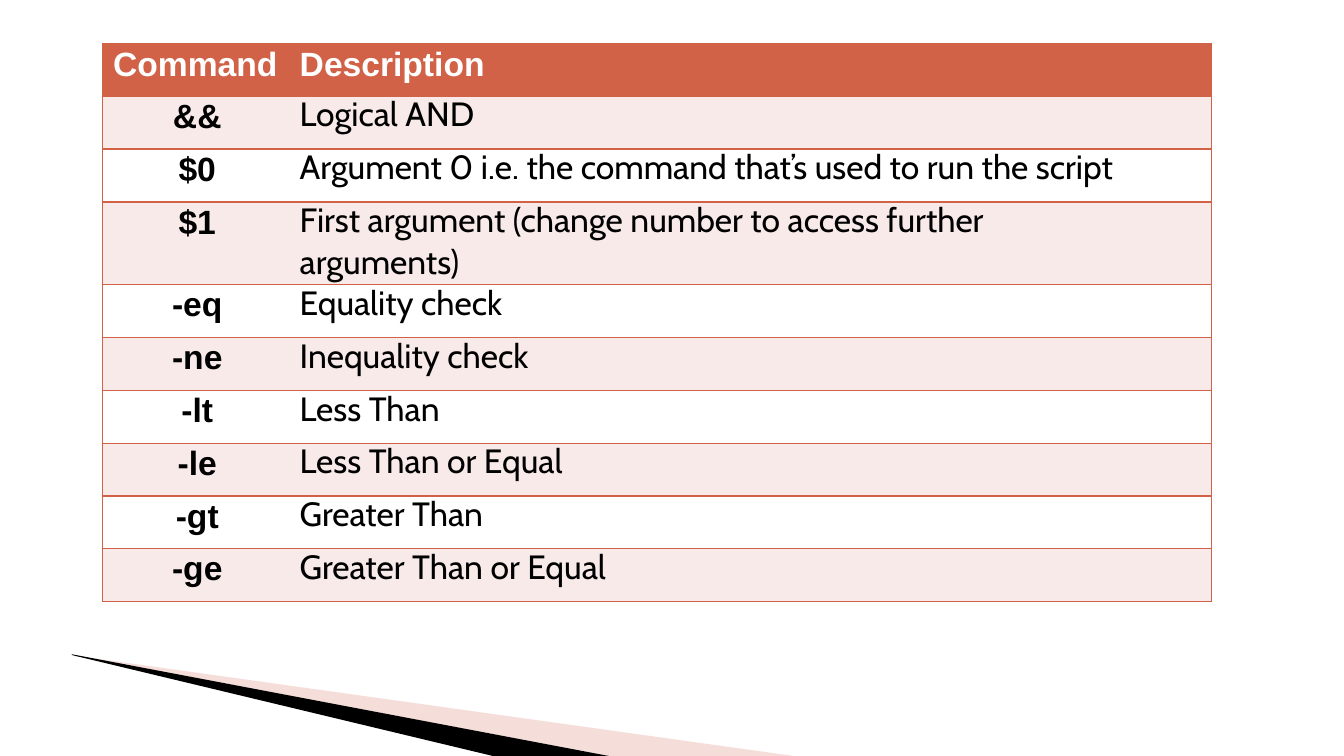
from lxml import etree
from pptx import Presentation
from pptx.dml.color import RGBColor
from pptx.enum.text import PP_ALIGN
from pptx.oxml.ns import qn
from pptx.util import Inches, Pt

CENTER, LEFT = PP_ALIGN.CENTER, PP_ALIGN.LEFT
RUST = RGBColor(0xD1, 0x62, 0x48)
BLUSH = RGBColor(0xF7, 0xEA, 0xE9)
SALMON = RGBColor(0xE7, 0xAC, 0xA3)
BLACK = RGBColor(0, 0, 0)
WHITE = RGBColor(0xFF, 0xFF, 0xFF)

SLIDE_WIDTH, SLIDE_HEIGHT = 13.33, 7.5
TABLE_BOX = (1.02, 0.43, 11, 5.54)
COMMAND_SHARE = 1 / 6
TALL_ROW = 0.82
COMMANDS = [
    ("Command", "Description"),
    ("&&", "Logical AND"),
    ("$0", "Argument 0 i.e. the command that’s used to run the script"),
    ("$1", "First argument (change number to access further\narguments)"),
    ("-eq", "Equality check"),
    ("-ne", "Inequality check"),
    ("-lt", "Less Than"),
    ("-le", "Less Than or Equal"),
    ("-gt", "Greater Than"),
    ("-ge", "Greater Than or Equal"),
]
SWOOSH_BOX = (0.71, 6.49, 7.16, 1.01)
PALE_WEDGE = [(0.02, 0.01), (0.02, 0.02), (0.14, 0.03), (5.32, 1.01), (7.16, 1.01), (0.14, 0.03)]
DARK_WEDGE = [(0, 0), (0.01, 0.01), (4.18, 1.01), (5.33, 1.01)]


def add_wedge(slide, box, points, color, opacity=100):
    """Draw a filled polygon whose points are offsets from the box corner."""
    left, top = box[:2]
    corners = [(Inches(left + x), Inches(top + y)) for x, y in points]
    builder = slide.shapes.build_freeform(*corners[0], scale=1.0)
    builder.add_line_segments(corners[1:], close=True)
    wedge = builder.convert_to_shape()
    wedge.shadow.inherit = False
    wedge.line.fill.background()
    wedge.fill.solid()
    wedge.fill.fore_color.rgb = color
    if opacity < 100:
        color_element = wedge.fill._xPr.find(qn("a:solidFill"))[0]
        etree.SubElement(color_element, qn("a:alpha"), val=str(opacity * 1000))


def add_swoosh(slide, box):
    """Place the two wedges of the corner decoration."""
    add_wedge(slide, box, PALE_WEDGE, SALMON, 40)
    add_wedge(slide, box, DARK_WEDGE, BLACK)


def set_borders(cell, visible_sides):
    """Draw rust borders on the given sides and hide the others."""
    properties = cell._tc.get_or_add_tcPr()
    for index, side in enumerate("LRTB"):
        line = etree.Element(qn(f"a:ln{side}"), w=str(Pt(1)))
        if side in visible_sides:
            fill = etree.SubElement(line, qn("a:solidFill"))
            etree.SubElement(fill, qn("a:srgbClr"), val=str(RUST))
        else:
            etree.SubElement(line, qn("a:noFill"))
        properties.insert(index, line)


def fill_cell(cell, text, row, column):
    """Write and style one cell according to its row and column."""
    is_header, is_command = row == 0, column == 0
    cell.margin_right = cell.margin_top = cell.margin_bottom = 0
    cell.margin_left = Inches(0.04 if is_command and not is_header else 0 if is_header and is_command else 0.12)
    if is_header or row % 2:
        cell.fill.solid()
        cell.fill.fore_color.rgb = RUST if is_header else BLUSH
    else:
        cell.fill.background()
    set_borders(cell, "LTB" if is_command else "RTB")
    cell.text_frame.text = text
    for index, paragraph in enumerate(cell.text_frame.paragraphs):
        paragraph.alignment = CENTER if is_command else LEFT
        paragraph.line_spacing = Pt(28.5 if is_header else 28)
        paragraph.space_before = Pt(1.9 if index else 0)
        font = paragraph.runs[0].font
        font.size = Pt(24)
        font.bold = is_header or is_command
        font.name = "Arial" if font.bold else "Cabin"
        font.color.rgb = WHITE if is_header else BLACK


def add_command_table(slide, box):
    """Place the table of commands and their descriptions."""
    width, height = box[2:]
    frame = slide.shapes.add_table(len(COMMANDS), 2, *map(Inches, box))
    table = frame.table
    table.first_row = table.horz_banding = False
    table.columns[0].width = Inches(width * COMMAND_SHARE)
    table.columns[1].width = Inches(width * (1 - COMMAND_SHARE))
    row_height = (height - TALL_ROW) / (len(COMMANDS) - 1)
    for row, texts in enumerate(COMMANDS):
        table.rows[row].height = Inches(TALL_ROW if "\n" in texts[1] else row_height)
        for column, text in enumerate(texts):
            fill_cell(table.cell(row, column), text, row, column)


def main():
    """Build and save the slide."""
    presentation = Presentation()
    presentation.slide_width = Inches(SLIDE_WIDTH)
    presentation.slide_height = Inches(SLIDE_HEIGHT)
    slide = presentation.slides.add_slide(presentation.slide_layouts[6])
    add_swoosh(slide, SWOOSH_BOX)
    add_command_table(slide, TABLE_BOX)
    presentation.save("out.pptx")


if __name__ == "__main__":
    main()
